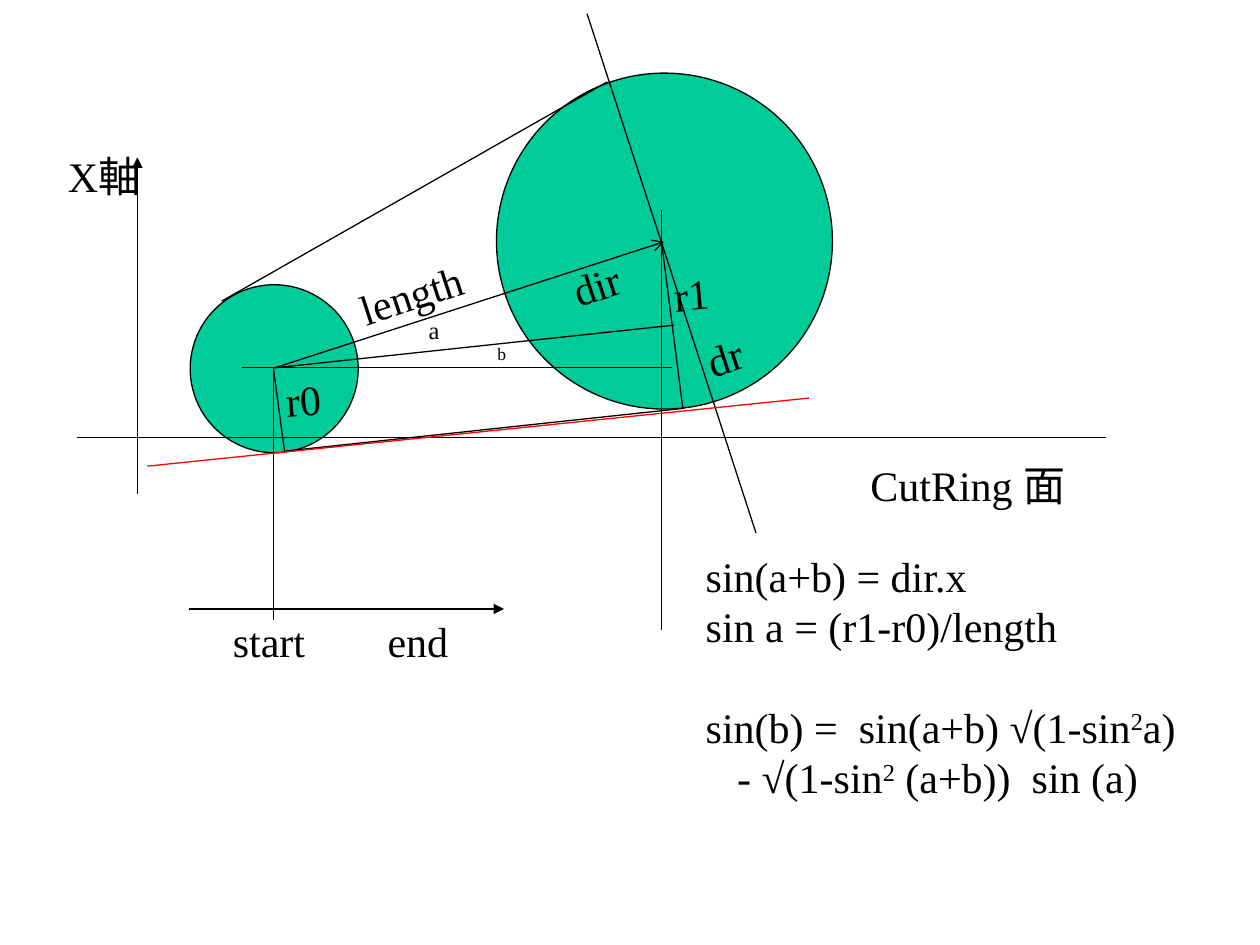
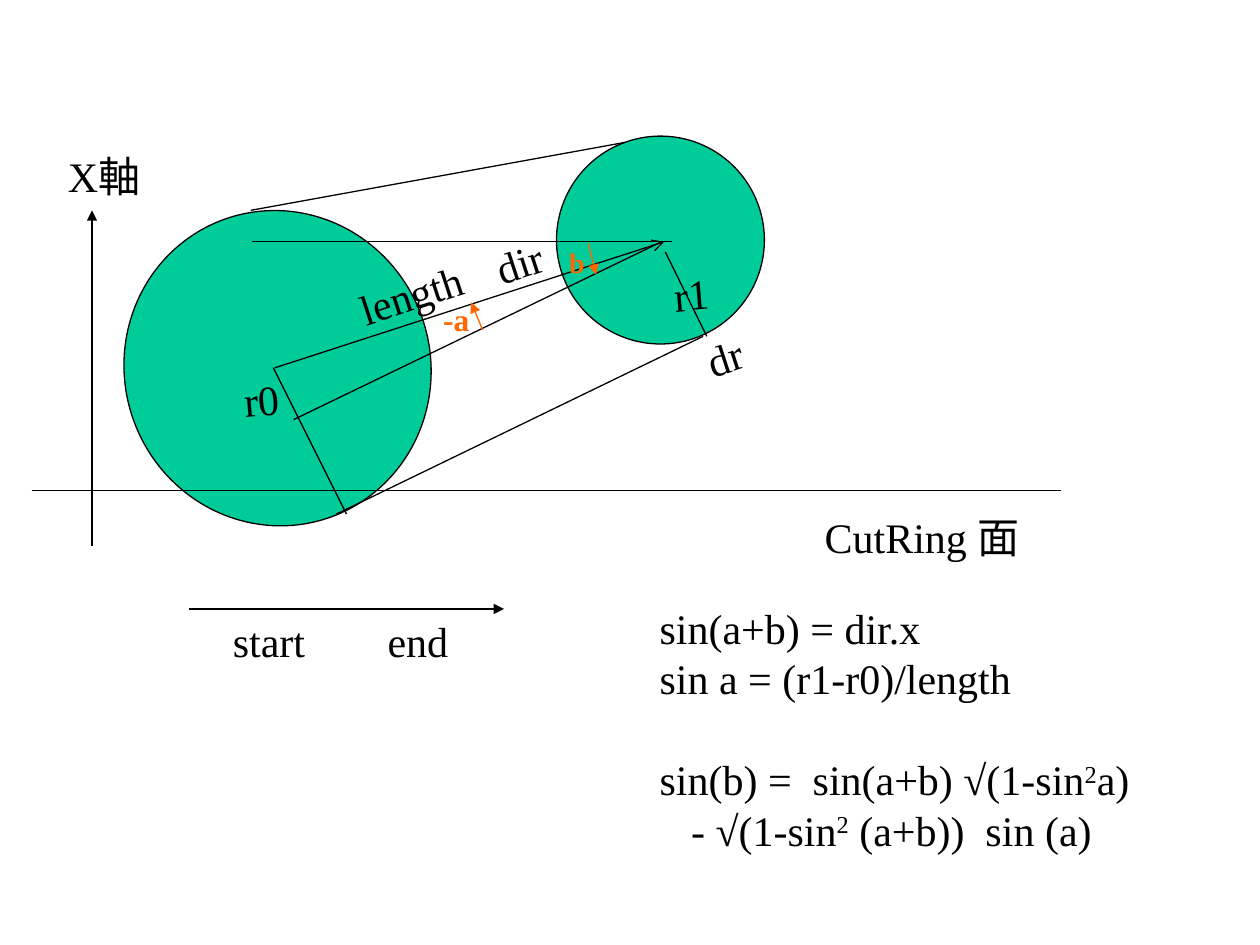
import pptx
import pptx.util
import pptx.dml.color
import pptx.enum.shapes
import pptx.enum.text
import pptx.oxml.ns
from lxml import etree

Pt = pptx.util.Pt
COLORS = {"ink": "000000", "disc": "00CC99", "tangent": "FF0000", "angle": "FF6600", "paper": "FFFFFF"}
FONT = {"name": "Times New Roman", "size": Pt(24), "bold": False}
TILT, RADIUS_TILT = 341.9, 355.3
ANGLE_MARK = {"bold": True, "color": "angle"}

FORMULA = [
    ("sin(a+b) = dir.x", 6, 0),
    ("sin a = (r1-r0)/length", 6, 0),
    ("sin(b) =  sin(a+b) √(1-sin^2^a)", 6, 28.8),
    ("- √(1-sin^2^ (a+b))  sin (a)", 24, 0),
]
FORMULA_SIZE = (288.7, 151.2)

SHARED_LINES = [
    ((157, 210.2), (379.4, 138.2), "ink", "arrow"),
    ((108, 348), (288, 348), "ink", "triangle"),
]
SHARED_LABELS = [
    ("X軸", (31.7, 82.3, 56.2, 64.8), 0, {"wrap": True}),
    ("length", (198, 150, 74.2, 36), TILT, {}),
    ("dr", (397.4, 186, 34.6, 36), TILT, {}),
    ("r1", (378, 150, 34.6, 36), RADIUS_TILT, {}),
    ("start", (126, 348, 72, 36), 0, {"wrap": True}),
    ("end", (214.4, 348, 72, 36), 0, {"wrap": True}),
]

SLIDES = [
    {
        "discs": [((156.7, 210.7), (96, 96)), ((379.7, 137.8), (192, 192))],
        "lines": [
            ((126.7, 172.1), (347, 46.8), "ink", None),
            ((43.9, 250), (632.2, 250), "ink", None),
            ((78.5, 282.2), (78.5, 90), "ink", "triangle"),
            ((335.5, 7.9), (432, 304.6), "ink", None),
            ((378, 120.2), (378, 360), "ink", None),
            ((156.2, 210.2), (156.2, 354.2), "ink", None),
            ((162.7, 257.8), (391, 233.3), "ink", None),
            ((156.2, 210.2), (162.7, 258.5), "ink", None),
            ((390.2, 233.3), (378, 138.2), "ink", None),
            ((157, 210.2), (385.2, 185.8), "ink", None),
            ((84.2, 266.4), (462.2, 227.5), "tangent", None),
            ((138.2, 210.2), (383.8, 210.2), "ink", None),
        ],
        "labels": [
            ("dir", (320.4, 144.7, 41, 36), TILT, {}),
            ("CutRing 面", (490.3, 259.2, 160, 36), 0, {"wrap": True}),
            ("r0", (156.2, 210.2, 34.6, 36), RADIUS_TILT, {}),
            ("a", (237.8, 176.6, 20.2, 24.5), 0, {"size": Pt(14)}),
            ("b", (277.2, 192.4, 19.4, 19.4), 0, {"size": Pt(10)}),
        ],
        "formula": (390.2, 311),
    },
    {
        "discs": [((158.6, 210.4), (175, 180.7)), ((377.4, 137.2), (118.8, 118.8))],
        "lines": [
            ((143.3, 120.2), (357.1, 81.4), "ink", None),
            ((18, 280.1), (606.2, 280.1), "ink", None),
            ((52.6, 311.8), (52.6, 120.2), "ink", "triangle"),
            ((192.2, 293.8), (401.8, 192.2), "ink", None),
            ((156.2, 210.2), (198, 293.8), "ink", None),
            ((167.8, 239.8), (378, 138.2), "ink", None),
            ((380.2, 144), (403.9, 192.2), "ink", None),
            ((383.8, 138.2), (144, 138.2), "ink", None),
            ((336.2, 139), (340.6, 157), "angle", "triangle"),
            ((275.8, 188.6), (269.3, 172.8), "angle", "triangle"),
        ],
        "labels": [
            ("dir", (276.5, 131.8, 41, 36), TILT, {}),
            ("CutRing 面", (464.2, 288.9, 160, 36), 0, {"wrap": True}),
            ("r0", (132.3, 210.2, 34.6, 36), RADIUS_TILT, {}),
            ("-a", (246.2, 167.8, 29.5, 28.8), 0, {"size": Pt(18), **ANGLE_MARK}),
            ("b", (318.2, 136.8, 23, 26.6), 0, {"size": Pt(16), **ANGLE_MARK}),
        ],
        "formula": (363.8, 340.8),
    },
]


def rgb(name):
    return pptx.dml.color.RGBColor.from_string(COLORS[name])


def points(values):
    return [Pt(v) for v in values]


def add_disc(s, center, size):
    corner = [c - d / 2 for c, d in zip(center, size)]
    sp = s.shapes.add_shape(pptx.enum.shapes.MSO_SHAPE.OVAL, *points((*corner, *size)))
    sp.rotation = TILT
    sp.shadow.inherit = False
    sp.fill.solid()
    sp.fill.fore_color.rgb = rgb("disc")
    sp.line.color.rgb = rgb("ink")
    sp.line.width = Pt(0.75)


def add_line(s, start, end, color, arrow):
    line = s.shapes.add_connector(pptx.enum.shapes.MSO_CONNECTOR.STRAIGHT, *points((*start, *end)))
    line.line.color.rgb = rgb(color)
    line.line.width = Pt(0.75)
    qn = pptx.oxml.ns.qn
    if arrow:
        etree.SubElement(line.line._get_or_add_ln(), qn("a:tailEnd"), type=arrow)
    etree.SubElement(line._element.spPr, qn("a:effectLst"))


def add_box(s, place, wrap):
    sp = s.shapes.add_textbox(*points(place))
    sp.text_frame.word_wrap = wrap
    sp.text_frame.auto_size = pptx.enum.text.MSO_AUTO_SIZE.SHAPE_TO_FIT_TEXT
    return sp


def add_run(p, text, style):
    r = p.add_run()
    r.text = text
    for key, value in {**FONT, **style}.items():
        if key in FONT:
            setattr(r.font, key, value)
    r.font.color.rgb = rgb(style.get("color", "ink"))
    return r


def add_label(s, text, place, rotation, style):
    sp = add_box(s, place, style.get("wrap", False))
    sp.rotation = rotation
    add_run(sp.text_frame.paragraphs[0], text, style)


def add_formula(s, corner):
    tf = add_box(s, (*corner, *FORMULA_SIZE), True).text_frame
    for i, (text, indent, before) in enumerate(FORMULA):
        p = tf.add_paragraph() if i else tf.paragraphs[0]
        p.space_before = Pt(before)
        pPr = p._p.get_or_add_pPr()
        pPr.set("marL", str(Pt(indent)))
        pPr.set("indent", "0")
        for j, part in enumerate(text.split("^")):
            r = add_run(p, part, {})
            if j % 2:
                r.font._element.set("baseline", "30000")


def main():
    prs = pptx.Presentation()
    prs.slide_width, prs.slide_height = Pt(720), Pt(540)
    for content in SLIDES:
        s = prs.slides.add_slide(prs.slide_layouts[6])
        s.background.fill.solid()
        s.background.fill.fore_color.rgb = rgb("paper")
        for disc in content["discs"]:
            add_disc(s, *disc)
        for line in SHARED_LINES + content["lines"]:
            add_line(s, *line)
        for label in SHARED_LABELS + content["labels"]:
            add_label(s, *label)
        add_formula(s, content["formula"])
    prs.save("out.pptx")


if __name__ == "__main__":
    main()
